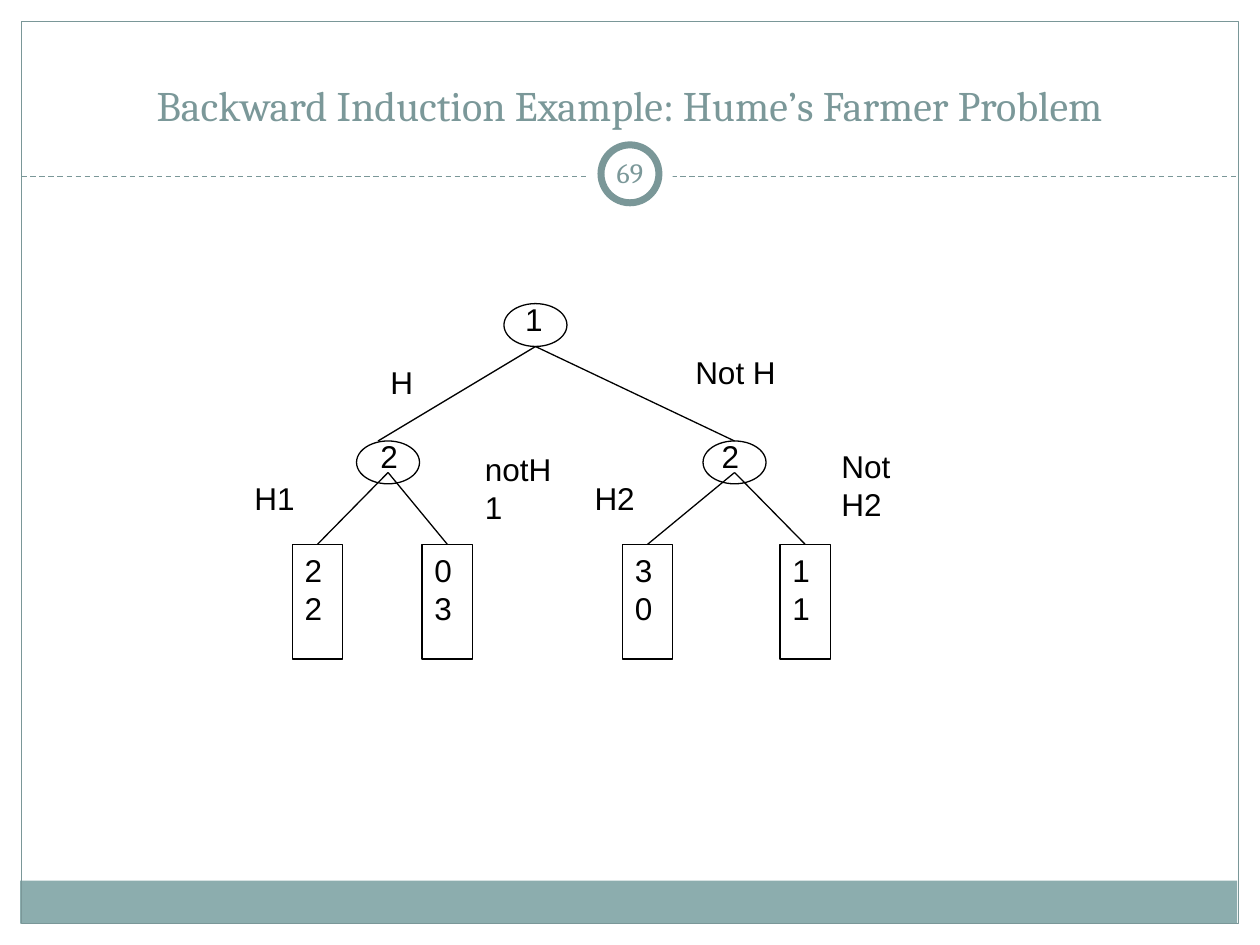
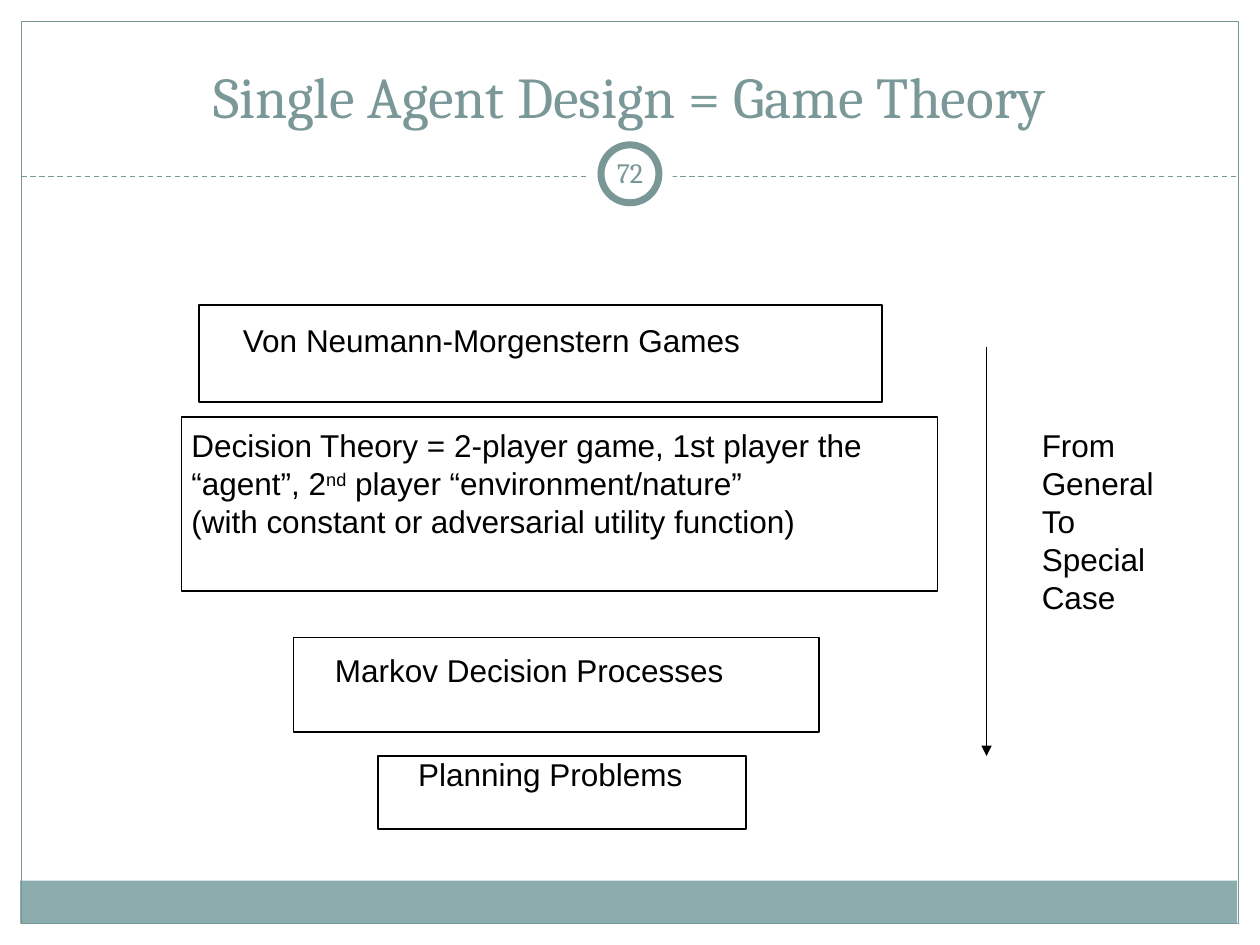
from dataclasses import dataclass

from lxml.etree import SubElement
from pptx import Presentation
from pptx.dml.color import RGBColor
from pptx.enum.dml import MSO_LINE
from pptx.enum.shapes import MSO_CONNECTOR, MSO_SHAPE
from pptx.enum.text import MSO_ANCHOR, PP_ALIGN
from pptx.oxml.ns import qn
from pptx.shapes.autoshape import Shape
from pptx.shapes.connector import Connector
from pptx.slide import Slide
from pptx.text.text import TextFrame
from pptx.util import Emu, Pt

EMU_PER_PX = 9144  # 100 px to the inch


def px(length: int) -> Emu:
    return Emu(length * EMU_PER_PX)


# Theme
@dataclass(frozen=True)
class Theme:
    ink: str = "000000"
    paper: str = "FFFFFF"
    accent: str = "7A9798"
    heading: str = "7B9899"
    band: str = "8CADAE"
    heading_font: str = "Cambria"
    body_font: str = "Arial"
    body_size: int = 18
    number_size: int = 16
    body_leading: float = 21.7
    thin: float = 0.75
    ring: float = 4


THEME = Theme()


# Building blocks
@dataclass(frozen=True)
class Box:
    left: int
    top: int
    width: int
    height: int


@dataclass(frozen=True)
class Run:
    text: str
    superscript: bool = False


@dataclass(frozen=True)
class Label:
    box: Box
    paragraphs: tuple[tuple[Run, ...], ...]


@dataclass(frozen=True)
class Node:
    player: str
    left: int
    top: int
    label_left: int
    label_width: int


@dataclass(frozen=True)
class Payoff:
    first: str
    second: str
    left: int
    parent: tuple[int, int]


def label(left: int, top: int, width: int, height: int, *lines: str) -> Label:
    return Label(Box(left, top, width, height), tuple((Run(line),) for line in lines))


def rgb(colour: str) -> RGBColor:
    return RGBColor.from_string(colour)


def add_outline(slide: Slide, kind: MSO_SHAPE, box: Box, line: str | None = THEME.ink,
                fill: str | None = None, weight: float = THEME.thin) -> Shape:
    shape = slide.shapes.add_shape(kind, px(box.left), px(box.top), px(box.width), px(box.height))
    shape.shadow.inherit = False
    if fill:
        shape.fill.solid()
        shape.fill.fore_color.rgb = rgb(fill)
    else:
        shape.fill.background()
    if line:
        shape.line.color.rgb = rgb(line)
        shape.line.width = Pt(weight)
    else:
        shape.line.fill.background()
    return shape


def add_line(slide: Slide, start: tuple[int, int], end: tuple[int, int],
             colour: str = THEME.ink, dashed: bool = False, arrow: bool = False) -> Connector:
    connector = slide.shapes.add_connector(
        MSO_CONNECTOR.STRAIGHT, *(px(value) for value in (*start, *end)))
    connector.line.color.rgb = rgb(colour)
    connector.line.width = Pt(THEME.thin)
    if dashed:
        connector.line.dash_style = MSO_LINE.DASH
    if arrow:
        SubElement(connector.line._get_or_add_ln(), qn("a:tailEnd"), type="triangle")
    SubElement(connector._element.spPr, qn("a:effectLst"))
    return connector


def add_text_box(slide: Slide, box: Box, anchor: MSO_ANCHOR = MSO_ANCHOR.TOP) -> TextFrame:
    text_box = slide.shapes.add_textbox(px(box.left), px(box.top), px(box.width), px(box.height))
    frame = text_box.text_frame
    frame.word_wrap = True
    frame.vertical_anchor = anchor
    return frame


def add_run(paragraph, run: Run, font_name: str = THEME.body_font,
            size: int = THEME.body_size, colour: str = THEME.ink) -> None:
    text_run = paragraph.add_run()
    text_run.text = run.text
    text_run.font.name = font_name
    text_run.font.size = Pt(size)
    text_run.font.color.rgb = rgb(colour)
    if run.superscript:
        text_run._r.get_or_add_rPr().set("baseline", "30000")


def add_label(slide: Slide, item: Label) -> None:
    frame = add_text_box(slide, item.box)
    for index, runs in enumerate(item.paragraphs):
        paragraph = frame.add_paragraph() if index else frame.paragraphs[0]
        paragraph.line_spacing = Pt(THEME.body_leading)
        for run in runs:
            add_run(paragraph, run)


def add_heading(slide: Slide, box: Box, text: str, size: int, anchor: MSO_ANCHOR) -> TextFrame:
    frame = add_text_box(slide, box, anchor)
    paragraph = frame.paragraphs[0]
    paragraph.alignment = PP_ALIGN.CENTER
    add_run(paragraph, Run(text), THEME.heading_font, size, THEME.heading)
    return frame


# Shared frame, title and number
def add_base_slide(presentation: Presentation, title: str, title_size: int, number: str) -> Slide:
    slide = presentation.slides.add_slide(presentation.slide_layouts[6])
    add_outline(slide, MSO_SHAPE.RECTANGLE, Box(16, 699, 966, 34), None, THEME.band)
    add_outline(slide, MSO_SHAPE.RECTANGLE, Box(17, 17, 966, 716), THEME.accent)
    add_line(slide, (17, 140), (983, 140), THEME.accent, dashed=True)
    add_outline(slide, MSO_SHAPE.OVAL, Box(467, 105, 67, 67), None, THEME.paper)
    add_outline(slide, MSO_SHAPE.OVAL, Box(477, 115, 46, 46), THEME.accent, THEME.paper, THEME.ring)
    add_heading(slide, Box(33, 25, 933, 83), title, title_size, MSO_ANCHOR.BOTTOM)
    frame = add_heading(slide, Box(475, 113, 50, 48), number, THEME.number_size, MSO_ANCHOR.MIDDLE)
    frame.margin_left = frame.margin_right = px(5)
    return slide


# Game tree
NODE_WIDTH, NODE_HEIGHT = 50, 34
PAYOFF_TOP, PAYOFF_WIDTH, PAYOFF_HEIGHT = 432, 40, 91
ROOT, LEFT_FORK, RIGHT_FORK = (425, 275), (308, 375), (583, 375)
NODES = (
    Node("1", 400, 241, 407, 20),
    Node("2", 283, 350, 292, 25),
    Node("2", 558, 350, 563, 20),
)
PAYOFFS = (
    Payoff("2", "2", 232, LEFT_FORK),
    Payoff("0", "3", 335, LEFT_FORK),
    Payoff("3", "0", 494, RIGHT_FORK),
    Payoff("1", "1", 619, RIGHT_FORK),
)
MOVES = (
    label(300, 283, 25, 50, "H"),
    label(542, 275, 150, 50, "Not H"),
    label(192, 375, 75, 50, "H1"),
    label(375, 352, 75, 90, "notH1"),
    label(462, 375, 75, 50, "H2"),
    label(658, 350, 92, 90, "Not H2"),
)


def add_payoff(slide: Slide, payoff: Payoff) -> None:
    box = Box(payoff.left, PAYOFF_TOP, PAYOFF_WIDTH, PAYOFF_HEIGHT)
    shape = add_outline(slide, MSO_SHAPE.RECTANGLE, box)
    frame = shape.text_frame
    frame.word_wrap = True
    frame.vertical_anchor = MSO_ANCHOR.TOP
    paragraph = frame.paragraphs[0]
    paragraph.alignment = PP_ALIGN.LEFT
    paragraph.line_spacing = Pt(THEME.body_leading)
    add_run(paragraph, Run(payoff.first))
    paragraph.add_line_break()
    add_run(paragraph, Run(payoff.second))
    branch = add_line(slide, payoff.parent, (payoff.left + PAYOFF_WIDTH // 2, PAYOFF_TOP))
    branch.end_connect(shape, 0)


def build_farmer_slide(presentation: Presentation) -> None:
    slide = add_base_slide(
        presentation, "Backward Induction Example: Hume’s Farmer Problem", 24, "69")
    for node in NODES:
        add_label(slide, label(node.label_left, node.top - 8, node.label_width, 50, node.player))
        add_outline(slide, MSO_SHAPE.OVAL, Box(node.left, node.top, NODE_WIDTH, NODE_HEIGHT))
    for end in ((300, 350), (583, 350)):
        add_line(slide, ROOT, end)
    for payoff in PAYOFFS:
        add_payoff(slide, payoff)
    for move in MOVES:
        add_label(slide, move)


# Hierarchy of models, from general to special
MODEL_FRAMES = (
    Box(158, 242, 542, 77),
    Box(144, 331, 600, 138),
    Box(233, 506, 417, 75),
    Box(300, 600, 292, 58),
)
MODEL_LABELS = (
    label(183, 250, 542, 40, "Von Neumann-Morgenstern Games"),
    Label(Box(142, 333, 625, 101), (
        (Run("Decision Theory = 2-player game, 1st player the “agent”, 2"),
         Run("nd", superscript=True),
         Run(" player “environment/nature”")),
        (Run("(with constant or adversarial utility function)"),),
    )),
    label(256, 512, 408, 40, "Markov Decision Processes"),
    label(322, 594, 273, 40, "Planning Problems"),
    label(817, 333, 110, 162, "From", "General", "To", "Special", "Case"),
)


def build_models_slide(presentation: Presentation) -> None:
    slide = add_base_slide(presentation, "Single Agent Design = Game Theory", 33, "72")
    for box in MODEL_FRAMES:
        add_outline(slide, MSO_SHAPE.RECTANGLE, box)
    for item in MODEL_LABELS:
        add_label(slide, item)
    add_line(slide, (783, 275), (783, 600), arrow=True)


def main() -> None:
    presentation = Presentation()
    presentation.slide_width = px(1000)
    presentation.slide_height = px(750)
    build_farmer_slide(presentation)
    build_models_slide(presentation)
    presentation.save("out.pptx")


if __name__ == "__main__":
    main()
